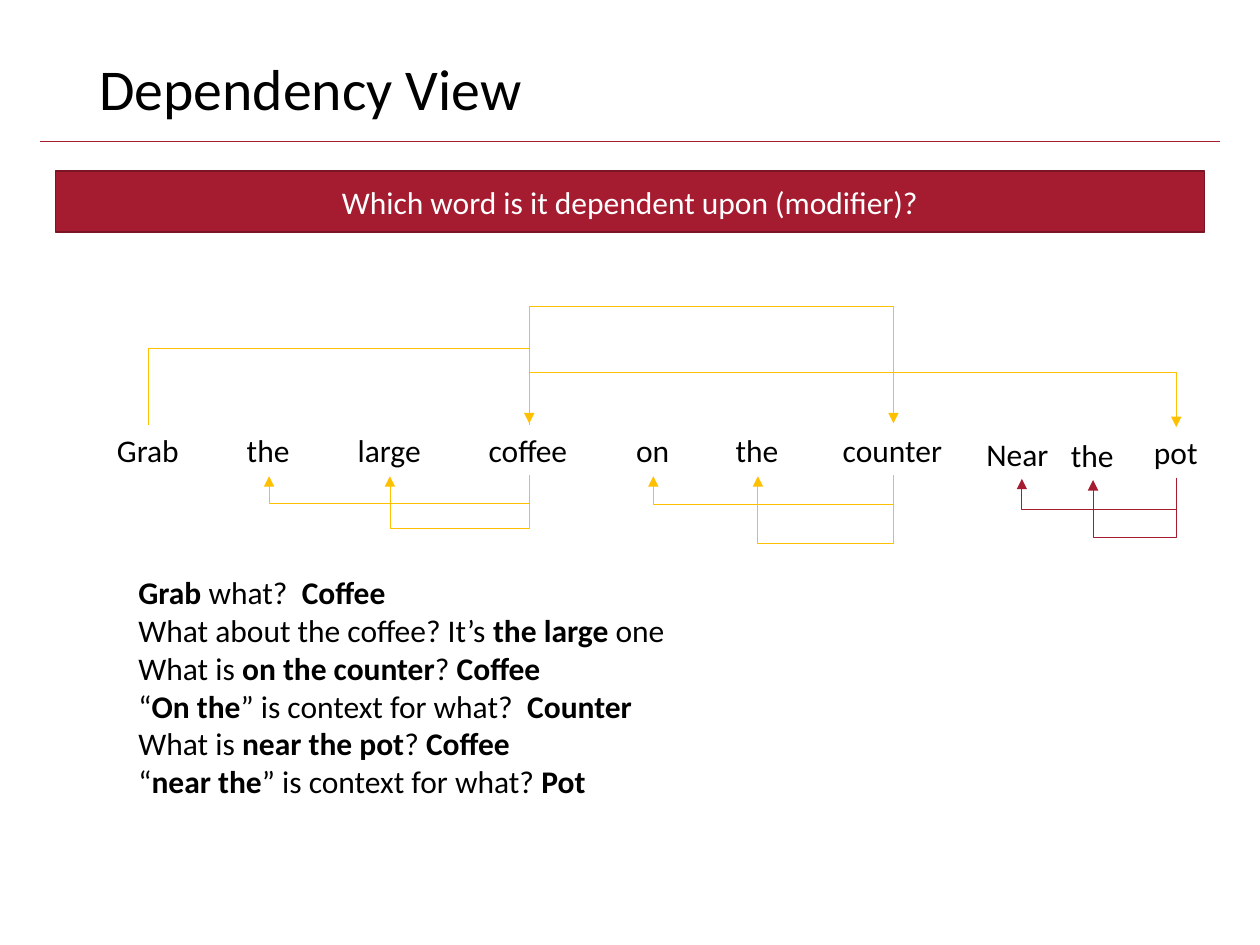
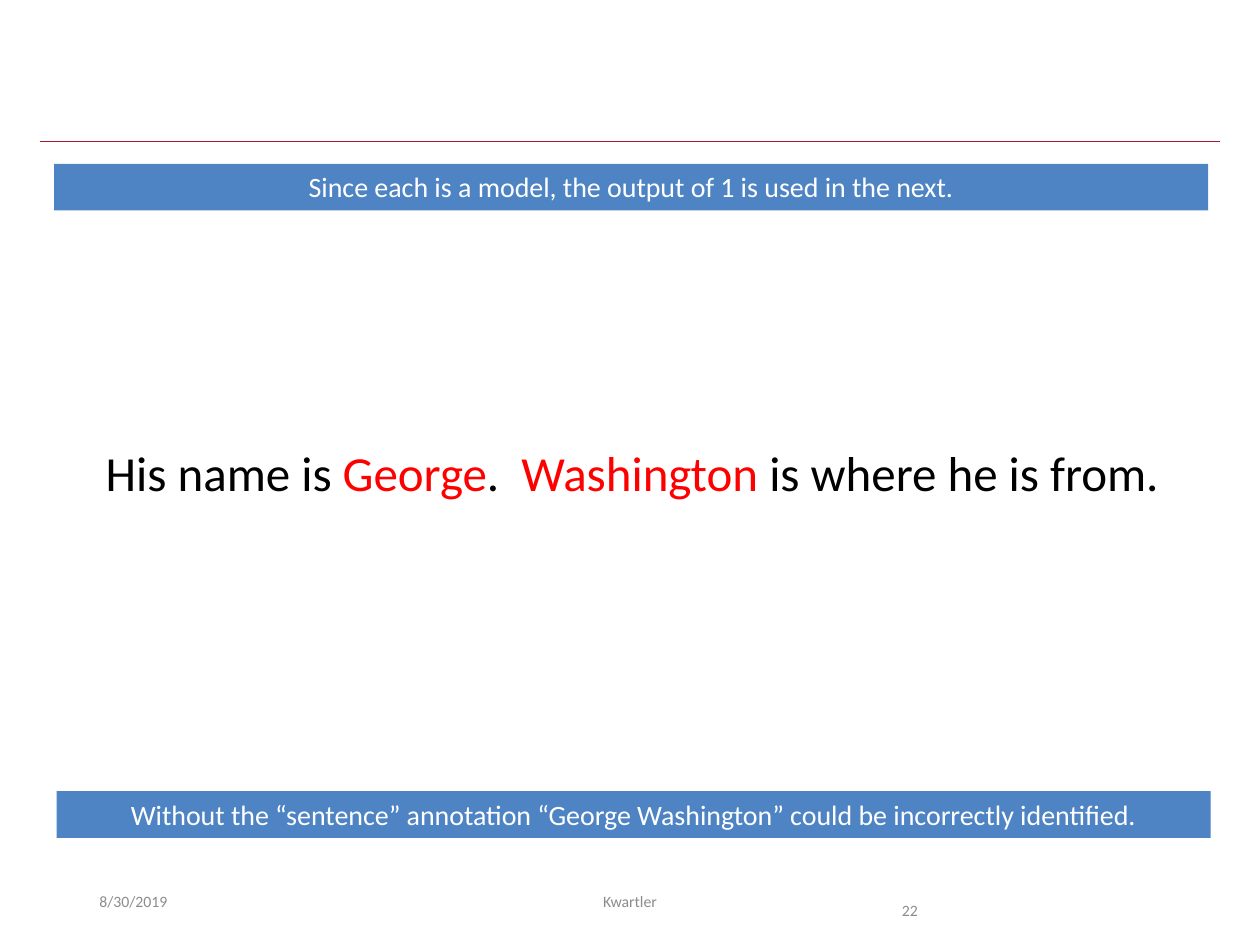
"""Build two slides on how words depend on each other."""
from lxml import etree
from pptx import Presentation, util as u
from pptx.dml.color import RGBColor
from pptx.enum import shapes, text
from pptx.oxml.ns import qn

FONT = "Calibri"
BLACK, WHITE, GREY = "000000", "FFFFFF", "8C8C8C"
RED, MAROON, GOLD, BLUE, ALERT = "A51C30", "7A1524", "FFC000", "4E84C4", "FF0000"
LEFT, MID = text.PP_ALIGN.LEFT, text.PP_ALIGN.CENTER
TALL = 0.4

WORDS = [
    ("Grab", 0.83, 3.37, 0.7), ("the", 1.86, 3.37, 0.55),
    ("large", 2.74, 3.37, 0.71), ("coffee", 3.78, 3.37, 0.84),
    ("on", 4.95, 3.37, 0.47), ("the", 5.74, 3.37, 0.55),
    ("counter", 6.59, 3.37, 1), ("Near", 7.73, 3.4, 0.76),
    ("the", 8.4, 3.41, 0.55), ("pot", 9.06, 3.39, 0.55),
]
GRAB, THE, LARGE, COFFEE, ON, THE2, COUNTER, NEAR, THE3, POT = range(10)
ABOVE = [(COFFEE, COUNTER, 2.42, GOLD), (COFFEE, POT, 2.96, GOLD),
         (GRAB, COFFEE, 2.76, GOLD)]
BELOW = [(COUNTER, ON, 4.01, GOLD), (COUNTER, THE2, 4.32, GOLD),
         (COFFEE, LARGE, 4.2, GOLD), (COFFEE, THE, 4, GOLD),
         (POT, THE3, 4.26, RED), (POT, NEAR, 4.05, RED)]
ASKS = [
    [("Grab", 1), (" what?  ", 0), ("Coffee", 1)],
    [("What about the coffee? It’s ", 0), ("the large ", 1), ("one", 0)],
    [("What is ", 0), ("on the counter", 1), ("? ", 0), ("Coffee", 1)],
    [("“", 0), ("On the", 1), ("” is context for what?  ", 0), ("Counter", 1)],
    [("What is ", 0), ("near the pot", 1), ("? ", 0), ("Coffee", 1)],
    [("“", 0), ("near the", 1), ("” is context for what? ", 0), ("Pot", 1)],
]
NAMES = [("His name is ", BLACK), ("George", ALERT), (".  ", BLACK),
         ("Washington", ALERT), (" is where he is from.", BLACK)]
BANDS = [
    ("Since each is a model, the output of 1 is used in the next.", 0.43, 1.3),
    ("Without the “sentence” annotation “George Washington” could be "
     "incorrectly identified.", 0.45, 6.28),
]


def rgb(code):
    """Turn a hex string into a colour."""
    return RGBColor.from_string(code)


def write(shape, paras, size, align=LEFT, wrap=True, mid=False, gap=None):
    """Fill a shape with paragraphs of (words, colour, bold) runs."""
    frame = shape.text_frame
    frame.word_wrap = wrap
    frame.vertical_anchor = text.MSO_ANCHOR.MIDDLE if mid else text.MSO_ANCHOR.TOP
    for i, runs in enumerate(paras):
        para = frame.add_paragraph() if i else frame.paragraphs[0]
        para.alignment = align
        if gap:
            para.line_spacing = gap
        for words, color, bold in runs:
            run = para.add_run()
            run.text = words
            run.font.name, run.font.size = FONT, u.Pt(size)
            run.font.bold = bool(bold)
            run.font.color.rgb = rgb(color)


def label(slide, at, paras, size, **style):
    """Add a text box."""
    box = slide.shapes.add_textbox(*map(u.Inches, at))
    write(box, paras, size, **style)
    return box


def band(slide, words, at, size, fill, edge=None, mid=False):
    """Add a filled strip with centred white text."""
    bar = slide.shapes.add_shape(shapes.MSO_SHAPE.RECTANGLE, *map(u.Inches, at))
    bar.shadow.inherit = False
    bar.fill.solid()
    bar.fill.fore_color.rgb = rgb(fill)
    if edge:
        bar.line.color.rgb, bar.line.width = rgb(edge), u.Pt(1)
    else:
        bar.line.fill.background()
    write(bar, [[(words, WHITE, 0)]], size, align=MID, mid=mid)


def link(slide, kind, ends, color, head=False):
    """Add a thin connector, with an arrowhead if asked."""
    line = slide.shapes.add_connector(kind, *map(u.Inches, ends))
    line.line.color.rgb, line.line.width = rgb(color), u.Pt(0.5)
    if head:
        etree.SubElement(line.line._get_or_add_ln(), qn("a:tailEnd"), type="triangle")
    etree.SubElement(line._element.spPr, qn("a:effectLst"))
    return line


def arc(slide, boxes, start, end, level, color, side):
    """Join two words by a square arc that runs at the given level."""
    def spot(i):
        _, x, y, wide = WORDS[i]
        return x + wide / 2, y + (TALL if side == 2 else 0)

    (x0, y0), (x1, y1) = spot(start), spot(end)
    rise = round(y1 - y0, 2) or (0.01 if side == 2 else -0.01)
    line = link(slide, shapes.MSO_CONNECTOR.ELBOW, (x0, y0, x1, y0 + rise), color, True)
    line.begin_connect(boxes[start], side)
    line.end_connect(boxes[end], side)
    wide, high = abs(rise), abs(x1 - x0)
    line.left, line.top = u.Inches((x0 + x1 - wide) / 2), u.Inches(y0 + (rise - high) / 2)
    line.width, line.height = u.Inches(wide), u.Inches(high)
    top = side == 0
    turn = 270 if top and rise > 0 else 90
    props = line._element.spPr
    frame = props.find(qn("a:xfrm"))
    frame.set("rot", str(turn * 60000))
    frame.set("flipH", str(int(top)))
    frame.set("flipV", str(int(top and turn == 90)))
    bend = round((level - y0) / rise * 100000)
    etree.SubElement(props.find(".//" + qn("a:avLst")), qn("a:gd"),
                     name="adj1", fmla=f"val {bend}")


def page(deck):
    """Add a blank slide with the shared rule."""
    slide = deck.slides.add_slide(deck.slide_layouts[6])
    link(slide, shapes.MSO_CONNECTOR.STRAIGHT, (0.32, 1.12, 9.68, 1.12), RED)
    return slide


def tree(deck):
    """Draw the dependency slide."""
    slide = page(deck)
    label(slide, (0.69, 0.4, 8.62, 0.65), [[("Dependency View", BLACK, 0)]], 33,
          mid=True, gap=0.9)
    boxes = [label(slide, (x, y, wide, TALL), [[(word, BLACK, 0)]], 18, wrap=False)
             for word, x, y, wide in WORDS]
    asks = [[(words, BLACK, bold) for words, bold in runs] for runs in ASKS]
    label(slide, (1, 4.5, 4.49, 1.92), asks, 18, wrap=False)
    for side, arcs in ((2, BELOW), (0, ABOVE)):
        for item in arcs:
            arc(slide, boxes, *item, side)
    band(slide, "Which word is it dependent upon (modifier)?",
         (0.44, 1.36, 9.12, 0.48), 18, RED, MAROON, True)


def names(deck):
    """Draw the sentence slide."""
    slide = page(deck)
    for words, x, y in BANDS:
        band(slide, words, (x, y, 9.16, 0.37), 16, BLUE)
    label(slide, (0.74, 3.46, 8.65, 0.57),
          [[(words, color, 0) for words, color in NAMES]], 28, wrap=False)
    for words, x, wide, style in (
            ("8/30/2019", 0.69, 2.25, {"mid": True}),
            ("Kwartler", 3.31, 3.38, {"mid": True, "align": MID}),
            ("22", 7.06, 0.94, {"gap": 2.0})):
        label(slide, (x, 6.95, wide, TALL), [[(words, GREY, 0)]], 9, **style)


def main():
    """Build and save the deck."""
    deck = Presentation()
    deck.slide_width, deck.slide_height = u.Inches(10), u.Inches(7.5)
    tree(deck)
    names(deck)
    deck.save("out.pptx")


if __name__ == "__main__":
    main()
